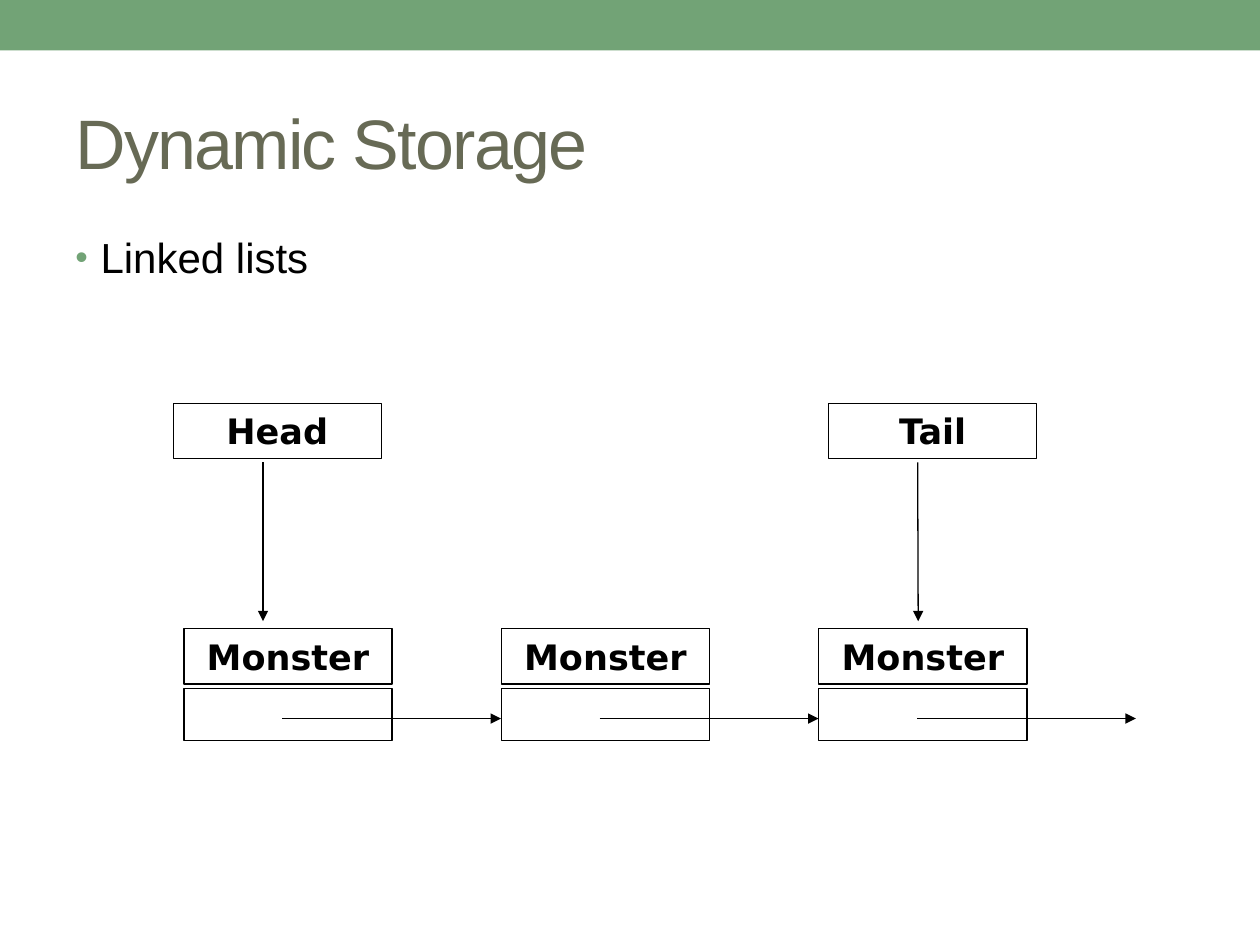
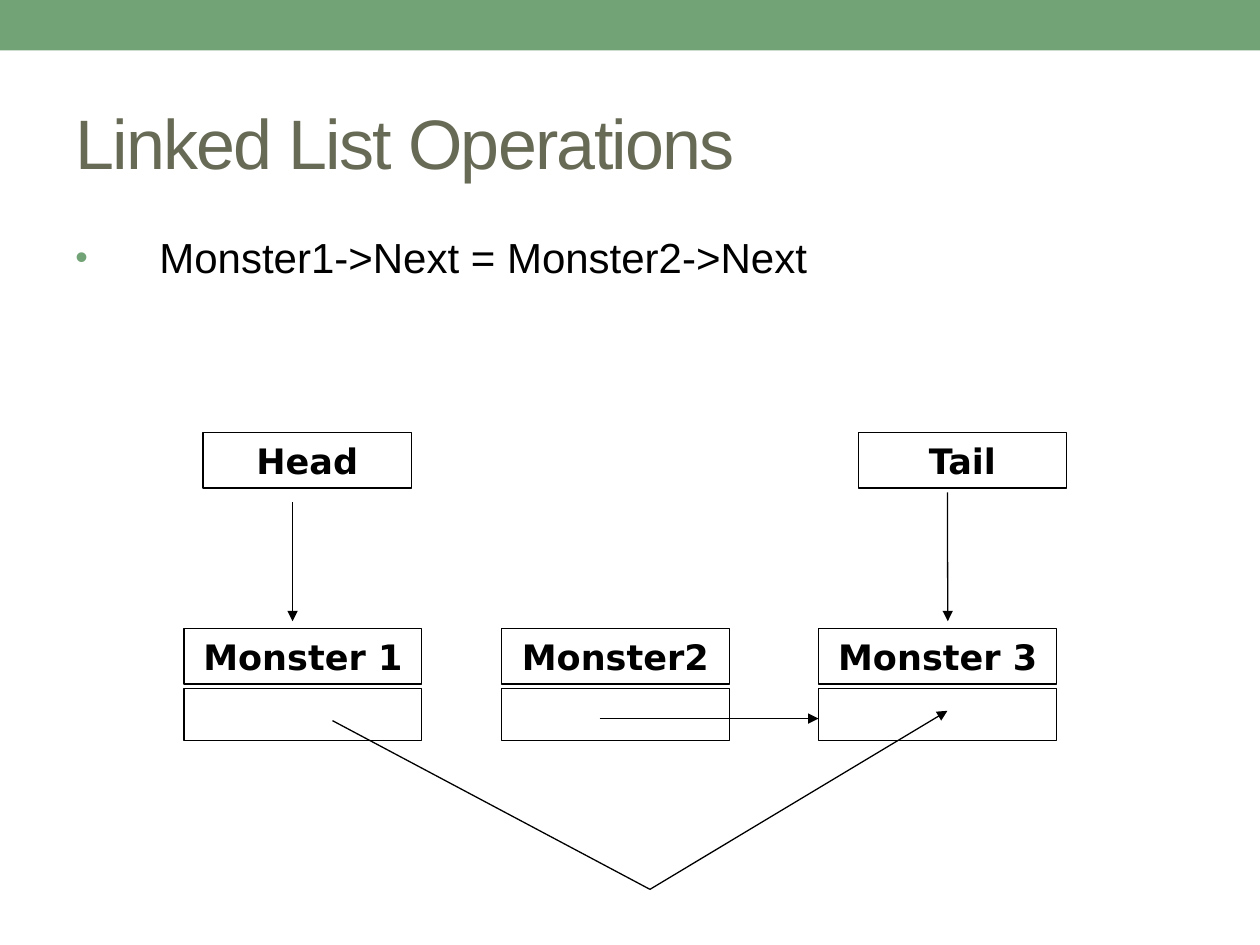
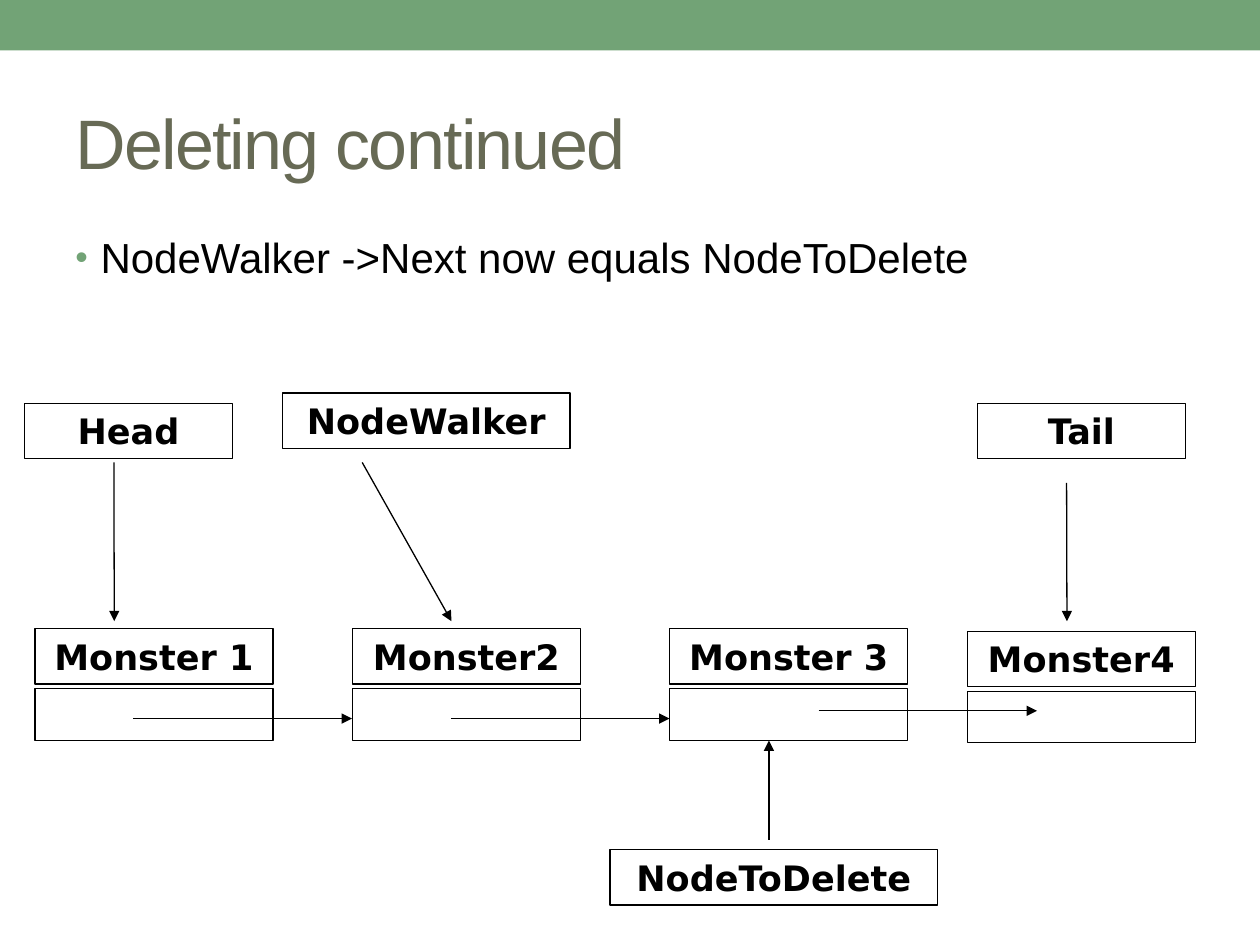
"""Build three slides on linked lists: storage, relinking and deleting."""
from pptx import Presentation
from pptx.dml.color import RGBColor
from pptx.enum.shapes import MSO_CONNECTOR, MSO_SHAPE
from pptx.enum.text import MSO_ANCHOR, PP_ALIGN
from pptx.oxml import parse_xml
from pptx.oxml.ns import nsdecls
from pptx.util import Pt

COLORS = {"band": "72A376", "title": "676A55", "ink": "000000"}
SANS, LABEL = "Arial", "DejaVu Sans"
WIDE, HIGH = 720, 540
STEP, TOP = 181.4, 359.3
SMALL, MID, LARGE = 119, 130.3, 136
TAG_H, SLOT_H, DROP = 31.7, 29.5, 34.3
LINK_IN, LINK_LEN, LINK_Y = 56.2, 125, 410.6
TIP = 355

SLIDES = [
    {
        "title": "Dynamic Storage",
        "point": "Linked lists",
        "hang": 14.4,
        "body": 384,
        "start": 105.1,
        "nodes": [("Monster", SMALL), ("Monster", SMALL), ("Monster", SMALL)],
        "links": [0, 1, 2],
        "tags": [("Head", 99, 230.4, SMALL), ("Tail", 473.5, 230.4, SMALL)],
        "arrows": [[(150.3, 264.3), (150.3, TIP)], [(524.4, 264.3), (524.7, TIP)]],
    },
    {
        "title": "Linked List Operations",
        "point": "Monster1->Next = Monster2->Next",
        "hang": 48,
        "body": 325.4,
        "start": 105.1,
        "nodes": [("Monster 1", LARGE), ("Monster2", MID), ("Monster 3", LARGE)],
        "links": [1],
        "tags": [("Head", 116.1, 247.2, SMALL), ("Tail", 490.5, 247.2, SMALL)],
        "arrows": [
            [(190, 411.8), (371.4, 508.2), (541.4, 406.2)],
            [(167.2, 287), (167.2, TIP)],
            [(541.4, 281.4), (541.6, TIP)],
        ],
    },
    {
        "title": "Deleting continued",
        "point": "NodeWalker ->Next now equals NodeToDelete",
        "hang": 14.4,
        "body": 384,
        "start": 20,
        "nodes": [("Monster 1", LARGE), ("Monster2", MID), ("Monster 3", LARGE)],
        "extra": [("Monster4", 552.7, 360.7, MID)],
        "links": [0, 1],
        "tags": [
            ("Head", 14, 230.4, SMALL),
            ("Tail", 558.5, 230.4, SMALL),
            ("NodeWalker", 161.4, 224.6, 164.4),
            ("NodeToDelete", 348.6, 485.5, 187.2),
        ],
        "arrows": [
            [(65.1, 264.3), (65.3, TIP)],
            [(609.5, 275.9), (609.7, TIP)],
            [(467.8, 406.2), (592.6, 406.2)],
            [(207, 264.3), (258, TIP)],
            [(439.4, 479.8), (439.4, 423.2)],
        ],
    },
]


def tint(name):
    return RGBColor.from_string(COLORS[name])


def write(para, text, face, size, color, bold=False):
    run = para.add_run()
    run.text = text
    font = run.font
    font.name, font.size, font.bold = face, Pt(size), bold
    font.color.rgb = tint(color)
    return run


def rect(slide, x, y, w, h):
    shape = slide.shapes.add_shape(MSO_SHAPE.RECTANGLE, Pt(x), Pt(y), Pt(w), Pt(h))
    shape.shadow.inherit = False
    return shape


def box(slide, x, y, w, h, text=None):
    shape = rect(slide, x, y, w, h)
    shape.fill.background()
    shape.line.color.rgb = tint("ink")
    shape.line.width = Pt(0.75)
    if text:
        para = shape.text_frame.paragraphs[0]
        para.alignment = PP_ALIGN.CENTER
        write(para, text, LABEL, 20, "ink", True)


def node(slide, name, x, y, w):
    box(slide, x, y, w, TAG_H, name)
    box(slide, x, y + DROP, w, SLOT_H)


def arrow(slide, dots):
    last = len(dots) - 2
    for i, (a, b) in enumerate(zip(dots, dots[1:])):
        line = slide.shapes.add_connector(MSO_CONNECTOR.STRAIGHT, *map(Pt, a + b))
        line.line.color.rgb = tint("ink")
        line.line.width = Pt(0.75)
        if i == last:
            line.line._get_or_add_ln().append(
                parse_xml(f'<a:tailEnd {nsdecls("a")} type="triangle"/>'))
        line._element.spPr.append(parse_xml(f'<a:effectLst {nsdecls("a")}/>'))


def frame(slide, y, h):
    area = slide.shapes.add_textbox(Pt(36), Pt(y), Pt(648), Pt(h)).text_frame
    area.word_wrap = True
    return area


def head(slide, text):
    band = rect(slide, 0, 0, WIDE, 28.8)
    band.fill.solid()
    band.fill.fore_color.rgb = tint("band")
    band.line.fill.background()
    area = frame(slide, 41.8, 77.8)
    area.vertical_anchor = MSO_ANCHOR.MIDDLE
    run = write(area.paragraphs[0], text, SANS, 40, "title")
    run.font._element.set("spc", "-100")


def bullet(slide, text, hang, h):
    para = frame(slide, 126, h).paragraphs[0]
    para.line_spacing = 1.1
    para.space_before = para.space_after = Pt(6)
    props = para._p.get_or_add_pPr()
    props.set("marL", str(Pt(hang)))
    props.set("indent", str(-Pt(hang)))
    for part in (
        f'<a:buClr {nsdecls("a")}><a:srgbClr val="{COLORS["band"]}"/></a:buClr>',
        f'<a:buSzPct {nsdecls("a")} val="85000"/>',
        f'<a:buFont {nsdecls("a")} typeface="{SANS}"/>',
        f'<a:buChar {nsdecls("a")} char="•"/>',
    ):
        props.append(parse_xml(part))
    write(para, text, SANS, 24, "ink")


def draw(deck, data):
    slide = deck.slides.add_slide(deck.slide_layouts[6])
    head(slide, data["title"])
    bullet(slide, data["point"], data["hang"], data["body"])
    for i, (name, w) in enumerate(data["nodes"]):
        node(slide, name, data["start"] + i * STEP, TOP, w)
    for item in data.get("extra", []):
        node(slide, *item)
    for i in data["links"]:
        x = data["start"] + i * STEP + LINK_IN
        arrow(slide, [(x, LINK_Y), (x + LINK_LEN, LINK_Y)])
    for name, x, y, w in data["tags"]:
        box(slide, x, y, w, TAG_H, name)
    for dots in data["arrows"]:
        arrow(slide, dots)


deck = Presentation()
deck.slide_width, deck.slide_height = Pt(WIDE), Pt(HIGH)
for data in SLIDES:
    draw(deck, data)
deck.save("out.pptx")
